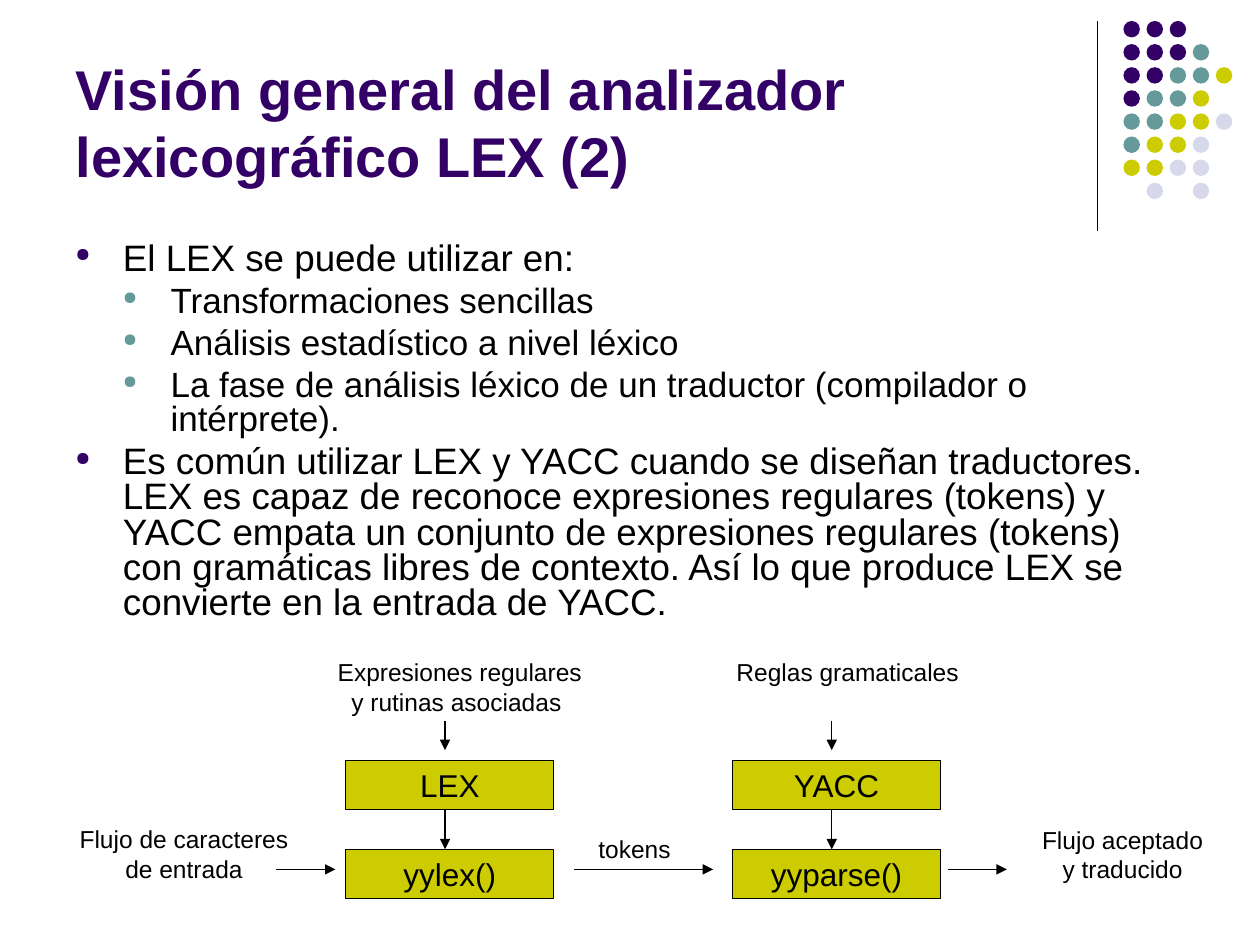
from typing import NamedTuple

from lxml import etree
from pptx import Presentation
from pptx.dml.color import RGBColor
from pptx.enum import shapes, text
from pptx.oxml import ns
from pptx.util import Pt

COLORS = {"purple": "330066", "teal": "669999", "lime": "CCCC00",
          "lavender": "D8D8EC", "black": "000000"}
FONT = "Arial"

# One string per row of dots, one letter per column.
DOT_ROWS = ["PPP", "PPPT", "PPTTL", "PTTL", "TTLLV", "TLLV", "LLVV", " V V"]
DOT_COLORS = {"P": "purple", "T": "teal", "L": "lime", "V": "lavender"}
DOT_LEFT, DOT_TOP, DOT_SIZE, DOT_PITCH = 642, 12, 9.4, 13.2

COLUMNS = [197.6, 418.6]   # left edges of the LEX and YACC columns
STAGE_TOP, CALL_TOP = 434.4, 485.3
BOX_WIDTH, BOX_HEIGHT = 118.8, 28.2
ARROW_OFFSET = 56.7        # from a column's left edge to its vertical arrows
FLOW_Y = 496.8


class Bullet(NamedTuple):
    level: int
    words: str


class Label(NamedTuple):
    center: float
    top: float
    width: float
    lines: list[str]


class Arrow(NamedTuple):
    x1: float
    y1: float
    x2: float
    y2: float


BULLETS = [
    Bullet(0, "El LEX se puede utilizar en:"),
    Bullet(1, "Transformaciones sencillas"),
    Bullet(1, "Análisis estadístico a nivel léxico"),
    Bullet(1, "La fase de análisis léxico de un traductor (compilador o intérprete)."),
    Bullet(0, "Es común utilizar LEX y YACC cuando se diseñan traductores. LEX es "
              "capaz de reconoce expresiones regulares (tokens) y YACC empata un "
              "conjunto de expresiones regulares (tokens) con gramáticas libres de "
              "contexto. Así lo que produce LEX se convierte en la entrada de YACC."),
]
LEVEL_SIZES = [21, 20]
LEVEL_COLORS = ["purple", "teal"]

STAGES = [("LEX", "yylex()"), ("YACC", "yyparse()")]
LABELS = [
    Label(262.8, 372.2, 156, ["Expresiones regulares", "y rutinas asociadas "]),
    Label(484.4, 372.2, 144, ["Reglas gramaticales"]),
    Label(105.2, 467.5, 136, ["Flujo de caracteres", "de entrada"]),
    Label(362.6, 473, 60, ["tokens"]),
    Label(641.5, 467.8, 110, ["Flujo aceptado", "y traducido"]),
]
FLOWS = [Arrow(x1, FLOW_Y, x2, FLOW_Y)
         for x1, x2 in [(157.7, 191.7), (328.3, 407.5), (541.6, 575.4)]]


def color(name: str) -> RGBColor:
    return RGBColor.from_string(COLORS[name])


def set_font(para, size: float, name: str = "black", bold: bool = False) -> None:
    para.font.name = FONT
    para.font.size = Pt(size)
    para.font.bold = bold
    para.font.color.rgb = color(name)


def add_line(page, line: Arrow, arrowhead: bool = True) -> None:
    connector = page.shapes.add_connector(
        shapes.MSO_CONNECTOR.STRAIGHT, *(Pt(value) for value in line))
    connector.line.width = Pt(0.75)
    connector.line.color.rgb = color("black")
    properties = connector._element.spPr
    if arrowhead:
        etree.SubElement(connector.line._get_or_add_ln(), ns.qn("a:tailEnd"),
                         type="triangle")
    etree.SubElement(properties, ns.qn("a:effectLst"))


def add_filled(page, kind, left: float, top: float, width: float, height: float,
               fill: str):
    shape = page.shapes.add_shape(kind, Pt(left), Pt(top), Pt(width), Pt(height))
    shape.shadow.inherit = False
    shape.fill.solid()
    shape.fill.fore_color.rgb = color(fill)
    shape.line.fill.background()
    return shape


def add_dots(page) -> None:
    for row, letters in enumerate(DOT_ROWS):
        for column, letter in enumerate(letters):
            if letter in DOT_COLORS:
                add_filled(page, shapes.MSO_SHAPE.OVAL,
                           DOT_LEFT + column * DOT_PITCH, DOT_TOP + row * DOT_PITCH,
                           DOT_SIZE, DOT_SIZE, DOT_COLORS[letter])


def add_title(page, words: str) -> None:
    title = page.shapes.title
    title.left, title.top, title.width, title.height = Pt(36), Pt(9.4), Pt(594), Pt(102.2)
    frame = title.text_frame
    frame.text = words
    frame.vertical_anchor = text.MSO_ANCHOR.BOTTOM
    frame.auto_size = text.MSO_AUTO_SIZE.NONE
    para = frame.paragraphs[0]
    para.alignment = text.PP_ALIGN.LEFT
    set_font(para, 32, "purple", bold=True)


def add_bullet_mark(para, level: int) -> None:
    properties = para._p.get_or_add_pPr()
    properties.set("marL", str(Pt(27.2 * (level + 1))))
    properties.set("indent", str(Pt(-27.2)))
    mark_color = etree.SubElement(properties, ns.qn("a:buClr"))
    etree.SubElement(mark_color, ns.qn("a:srgbClr"), val=COLORS[LEVEL_COLORS[level]])
    etree.SubElement(properties, ns.qn("a:buSzPct"), val="52000")
    etree.SubElement(properties, ns.qn("a:buChar"), char="●")


def add_bullets(page) -> None:
    box = page.shapes.add_textbox(Pt(36), Pt(135.4), Pt(648), Pt(242.6))
    frame = box.text_frame
    frame.word_wrap = True
    for number, bullet in enumerate(BULLETS):
        para = frame.add_paragraph() if number else frame.paragraphs[0]
        para.text = bullet.words
        para.level = bullet.level
        para.line_spacing = 0.8
        para.space_before = Pt(4.8 if number else 0)
        add_bullet_mark(para, bullet.level)
        set_font(para, LEVEL_SIZES[bullet.level])


def add_box(page, left: float, top: float, words: str) -> None:
    box = add_filled(page, shapes.MSO_SHAPE.RECTANGLE, left, top,
                     BOX_WIDTH, BOX_HEIGHT, "lime")
    box.line.color.rgb = color("black")
    box.line.width = Pt(0.75)
    frame = box.text_frame
    frame.word_wrap = False
    frame.vertical_anchor = text.MSO_ANCHOR.MIDDLE
    frame.text = words
    frame.paragraphs[0].alignment = text.PP_ALIGN.CENTER
    set_font(frame.paragraphs[0], 18)


def add_label(page, label: Label) -> None:
    box = page.shapes.add_textbox(Pt(label.center - label.width / 2), Pt(label.top),
                                  Pt(label.width), Pt(7.2 + 16.9 * len(label.lines)))
    frame = box.text_frame
    frame.word_wrap = False
    frame.auto_size = text.MSO_AUTO_SIZE.SHAPE_TO_FIT_TEXT
    frame.text = "\n".join(label.lines)
    for para in frame.paragraphs:
        para.alignment = text.PP_ALIGN.CENTER
        set_font(para, 14)


def main() -> None:
    deck = Presentation()
    deck.slide_width, deck.slide_height = Pt(720), Pt(540)
    page = deck.slides.add_slide(deck.slide_layouts.get_by_name("Title Only"))

    add_line(page, Arrow(627, 12, 627, 132), arrowhead=False)
    add_dots(page)
    add_title(page, "Visión general del analizador lexicográfico LEX (2)")
    add_bullets(page)

    for left, (stage, call) in zip(COLUMNS, STAGES):
        add_box(page, left, STAGE_TOP, stage)
        add_box(page, left, CALL_TOP, call)
        x = left + ARROW_OFFSET
        add_line(page, Arrow(x, 411.8, x, 428.6))
        add_line(page, Arrow(x, STAGE_TOP + BOX_HEIGHT, x, CALL_TOP))
    for flow in FLOWS:
        add_line(page, flow)
    for label in LABELS:
        add_label(page, label)

    deck.save("out.pptx")


if __name__ == "__main__":
    main()
